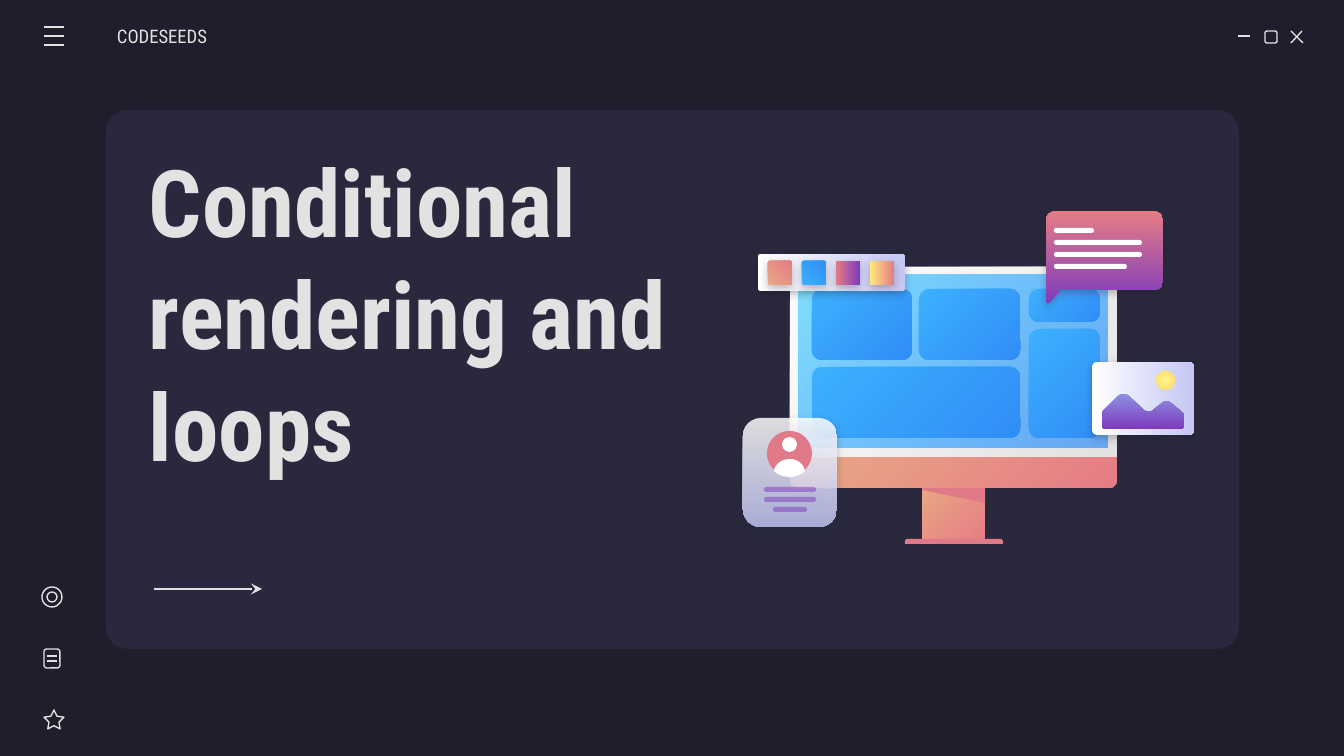
from dataclasses import dataclass

from lxml import etree
from pptx import Presentation
from pptx.dml.color import RGBColor
from pptx.enum.shapes import MSO_CONNECTOR, MSO_SHAPE
from pptx.enum.text import MSO_ANCHOR
from pptx.oxml.ns import qn
from pptx.util import Pt

PX = 914400 / 134.4  # EMU in one pixel
STEPS = 8  # points along one curve
FONT = "Roboto Condensed"
RECT, ROUND = MSO_SHAPE.RECTANGLE, MSO_SHAPE.ROUNDED_RECTANGLE
CAPPED, OVAL = MSO_SHAPE.ROUND_2_SAME_RECTANGLE, MSO_SHAPE.OVAL
STAR = MSO_SHAPE.STAR_5_POINT
STRAIGHT, MIDDLE = MSO_CONNECTOR.STRAIGHT, MSO_ANCHOR.MIDDLE

NIGHT = RGBColor(0x1E, 0x1E, 0x2C)
CARD = RGBColor(0x29, 0x28, 0x3D)
PALE = RGBColor(0xE2, 0xE2, 0xE2)
WHITE = RGBColor(0xFF, 0xFF, 0xFF)
PEACH = RGBColor(0xE9, 0xA9, 0x84)
CORAL = RGBColor(0xE5, 0x7C, 0x85)
ROSE = RGBColor(0xE0, 0x7A, 0x88)
PURPLE = RGBColor(0x7E, 0x3B, 0xBE)
VIOLET = RGBColor(0x8D, 0x90, 0xE1)
LILAC = RGBColor(0xC5, 0xC7, 0xF4)
AQUA = RGBColor(0x80, 0xDF, 0xFF)
AZURE = RGBColor(0x31, 0x8F, 0xFA)
SKY = RGBColor(0x3D, 0xB0, 0xFD)
BLUE = RGBColor(0x30, 0x8E, 0xF7)
LEMON = RGBColor(0xFF, 0xF6, 0x8E)
GOLD = RGBColor(0xFF, 0xD9, 0x66)
YELLOW = RGBColor(0xFF, 0xEA, 0x7D)


@dataclass
class Paint:
    """A plain colour, or a gradient when last is set; alphas are percents."""
    first: RGBColor
    last: RGBColor | None = None
    angle: int = 45
    alphas: tuple[int, int] = (100, 100)
    radial: bool = False


@dataclass
class Box:
    x: int
    y: int
    w: int
    h: int
    paint: Paint | None = None  # None gives a thin outline
    form: int = ROUND
    bends: tuple[float, ...] = ()  # preset adjustments
    glow: bool = False


@dataclass
class Line:
    x1: int
    y1: int
    x2: int
    y2: int
    arrow: bool = False


@dataclass
class Label:
    x: int
    y: int
    w: int
    h: int
    text: str
    size: int
    bold: bool = False
    inset: int = 13


def emu(*sizes: float) -> list[int]:
    return [round(size * PX) for size in sizes]


def node(parent, tag: str, **attrs):
    return etree.SubElement(parent, qn(tag), {k: str(v) for k, v in attrs.items()})


def coat(shape, paint: Paint | None, glow: bool = False) -> None:
    """Set fill, line and shadow of a shape."""
    fill, spot = shape.fill, shape._element.spPr
    if paint is None:
        fill.background()
        shape.line.color.rgb, shape.line.width = PALE, Pt(0.75)
    else:
        shape.line.fill.background()
        if paint.last is None:
            fill.solid()
            fill.fore_color.rgb = paint.first
        else:
            fill.gradient()
            fill.gradient_angle = -paint.angle % 360
            for stop, color in zip(fill.gradient_stops, (paint.first, paint.last)):
                stop.color.rgb = color
        for color, alpha in zip(spot.iter(qn("a:srgbClr")), paint.alphas):
            if alpha < 100:
                node(color, "a:alpha", val=alpha * 1000)
        if paint.radial:
            grad = spot.find(qn("a:gradFill"))
            grad.remove(grad.find(qn("a:lin")))
            ring = node(grad, "a:path", path="circle")
            node(ring, "a:fillToRect", l=50000, t=50000, r=50000, b=50000)
    shape.shadow.inherit = False
    if glow:
        shade = node(spot.find(qn("a:effectLst")), "a:outerShdw", blurRad=Pt(4.5),
                     dist=Pt(1.5), dir=5400000, algn="bl", rotWithShape=0)
        node(node(shade, "a:srgbClr", val=NIGHT), "a:alpha", val=27000)


def draw_box(shapes, box: Box) -> None:
    shape = shapes.add_shape(box.form, *emu(box.x, box.y, box.w, box.h))
    for i, bend in enumerate(box.bends):
        shape.adjustments[i] = bend
    coat(shape, box.paint, box.glow)


def draw_line(shapes, line: Line) -> None:
    wire = shapes.add_connector(STRAIGHT, *emu(line.x1, line.y1, line.x2, line.y2))
    wire.line.color.rgb, wire.line.width = PALE, Pt(0.75)
    spot = wire._element.spPr
    if line.arrow:
        node(spot.find(qn("a:ln")), "a:tailEnd", type="stealth")
    node(spot, "a:effectLst")


def draw_path(shapes, path: list[tuple[int, ...]], paint: Paint, glow: bool = False) -> None:
    """Draw a closed outline; pairs are corners, sixes are cubic curves."""
    points = [path[0]]
    for part in path[1:]:
        if len(part) == 2:
            points.append(part)
            continue
        knots = [points[-1], part[:2], part[2:4], part[4:]]
        for t in (i / STEPS for i in range(1, STEPS + 1)):
            mix = ((1 - t) ** 3, 3 * t * (1 - t) ** 2, 3 * t * t * (1 - t), t ** 3)
            points.append(tuple(sum(m * k[axis] for m, k in zip(mix, knots))
                                for axis in (0, 1)))
    spots = [tuple(emu(*point)) for point in points]
    pen = shapes.build_freeform(*spots[0])
    pen.add_line_segments(spots[1:], close=True)
    coat(pen.convert_to_shape(), paint, glow)


def draw_label(shapes, label: Label) -> None:
    frame = shapes.add_textbox(*emu(label.x, label.y, label.w, label.h)).text_frame
    pad = emu(13)[0]
    look = {"word_wrap": True, "vertical_anchor": MIDDLE, "margin_top": pad,
            "margin_left": emu(label.inset)[0], "margin_right": pad, "margin_bottom": pad}
    for name, value in look.items():
        setattr(frame, name, value)
    run = frame.paragraphs[0].add_run()
    run.text = label.text
    for name, value in {"name": FONT, "size": Pt(label.size), "bold": label.bold}.items():
        setattr(run.font, name, value)
    run.font.color.rgb = PALE


WARM, COOL = Paint(PEACH, CORAL), Paint(SKY, BLUE)
PAPER, PLAIN, PINK = Paint(WHITE, LILAC, 0), Paint(WHITE), Paint(ROSE)
FAINT = Paint(PURPLE, alphas=(51, 51))

SCREEN = [
    Box(790, 456, 327, 32, WARM, CAPPED, (0, 0.25)),
    Box(790, 267, 327, 190, Paint(WHITE, PALE), CAPPED, (0.04, 0)),
    Box(799, 275, 309, 173, Paint(AQUA, AZURE, alphas=(100, 69)), RECT),
] + [Box(x, y, w, h, COOL, bends=(10 / min(w, h),)) for x, y, w, h in (
    (812, 289, 100, 71), (812, 367, 208, 71), (919, 289, 101, 71),
    (1029, 289, 71, 33), (1029, 329, 71, 109))]
BUBBLE = [(1055, 211), (1050, 211, 1046, 215, 1046, 220), (1046, 301),
          (1046, 303, 1049, 304, 1050, 302), (1060, 290), (1154, 290),
          (1159, 290, 1163, 286, 1163, 281), (1163, 220),
          (1163, 215, 1159, 211, 1154, 211)]
SPEECH = [Box(1054, 228 + 12 * i, w, 5, PLAIN, bends=(0.5,))
          for i, w in enumerate((40, 88, 88, 73))]
BADGE = [
    Box(743, 418, 94, 109, Paint(WHITE, LILAC, 90, (83, 83)), bends=(0.19,), glow=True),
    Box(767, 431, 45, 45, PINK, OVAL),
    Box(782, 437, 15, 15, PLAIN, OVAL),
] + [Box(790 - w // 2, 487 + 10 * i, w, 5, FAINT, bends=(0.5,))
     for i, w in enumerate((52, 52, 34))]
BUST = [(790, 459), (782, 459, 775, 464, 774, 471), (778, 475, 784, 477, 790, 477),
        (795, 477, 801, 475, 805, 471), (804, 464, 797, 459, 790, 459)]
PHOTO = [Box(1092, 362, 102, 73, PAPER, bends=(0.07,), glow=True),
         Box(1156, 371, 19, 19, Paint(LEMON, GOLD, radial=True), OVAL)]
HILLS = [(1124, 394), (1122, 394, 1120, 394, 1119, 395), (1104, 410),
         (1102, 412, 1102, 413, 1102, 414), (1102, 425),
         (1102, 428, 1104, 429, 1106, 429), (1179, 429),
         (1182, 429, 1184, 428, 1184, 425), (1184, 415),
         (1184, 414, 1183, 413, 1182, 412), (1170, 402),
         (1168, 401, 1164, 401, 1162, 403), (1152, 411),
         (1149, 412, 1146, 412, 1144, 410), (1128, 395),
         (1127, 394, 1126, 394, 1124, 394)]
SWATCHES = [Box(758, 254, 147, 37, PAPER, bends=(0.07,), glow=True)] + [
    Box(768 + 34 * i, 261, 24, 24, paint, bends=(0.07,), glow=True)
    for i, paint in enumerate((Paint(PEACH, CORAL, 315), Paint(SKY, BLUE, 315),
                               Paint(CORAL, PURPLE, 0), Paint(YELLOW, CORAL, 0)))]
ICONS = [Box(1265, 31, 12, 12, bends=(0.17,)), Box(44, 710, 20, 19, form=STAR, bends=(0.25,)),
         Box(44, 649, 16, 19, bends=(0.17,)), Box(42, 587, 20, 20, form=OVAL),
         Box(47, 592, 10, 10, form=OVAL)]
LINES = [Line(1238, 36, 1250, 36), Line(1291, 31, 1303, 43), Line(1302, 31, 1291, 43),
         Line(154, 589, 262, 589, arrow=True)]
LINES += [Line(44, y, 64, y) for y in (27, 36, 45)]
LINES += [Line(47, y, 57, y) for y in (656, 661)]
LABELS = [Label(117, 16, 157, 40, "CODESEEDS", 10, inset=0),
          Label(136, 194, 601, 237, "Conditional rendering and loops", 50, bold=True)]


def main() -> None:
    deck = Presentation()
    deck.slide_width, deck.slide_height = emu(1344, 756)
    slide = deck.slides.add_slide(deck.slide_layouts[6])
    slide.background.fill.solid()
    slide.background.fill.fore_color.rgb = NIGHT
    shapes = slide.shapes

    def draw_all(boxes: list[Box]) -> None:
        for box in boxes:
            draw_box(shapes, box)

    draw_all([Box(106, 110, 1133, 539, Paint(CARD), bends=(0.04,)),
              Box(922, 485, 63, 58, WARM, RECT),
              Box(905, 539, 98, 5, PINK, CAPPED, (0.5, 0))])
    draw_path(shapes, [(922, 485), (922, 490), (985, 503), (985, 485)], PINK)
    draw_all(SCREEN)
    draw_path(shapes, BUBBLE, Paint(CORAL, PURPLE, 90), glow=True)
    draw_all(SPEECH + BADGE)
    draw_path(shapes, BUST, PLAIN)
    draw_all(PHOTO)
    draw_path(shapes, HILLS, Paint(VIOLET, PURPLE, 90))
    draw_all(SWATCHES + ICONS)
    for line in LINES:
        draw_line(shapes, line)
    for label in LABELS:
        draw_label(shapes, label)
    deck.save("out.pptx")


if __name__ == "__main__":
    main()
